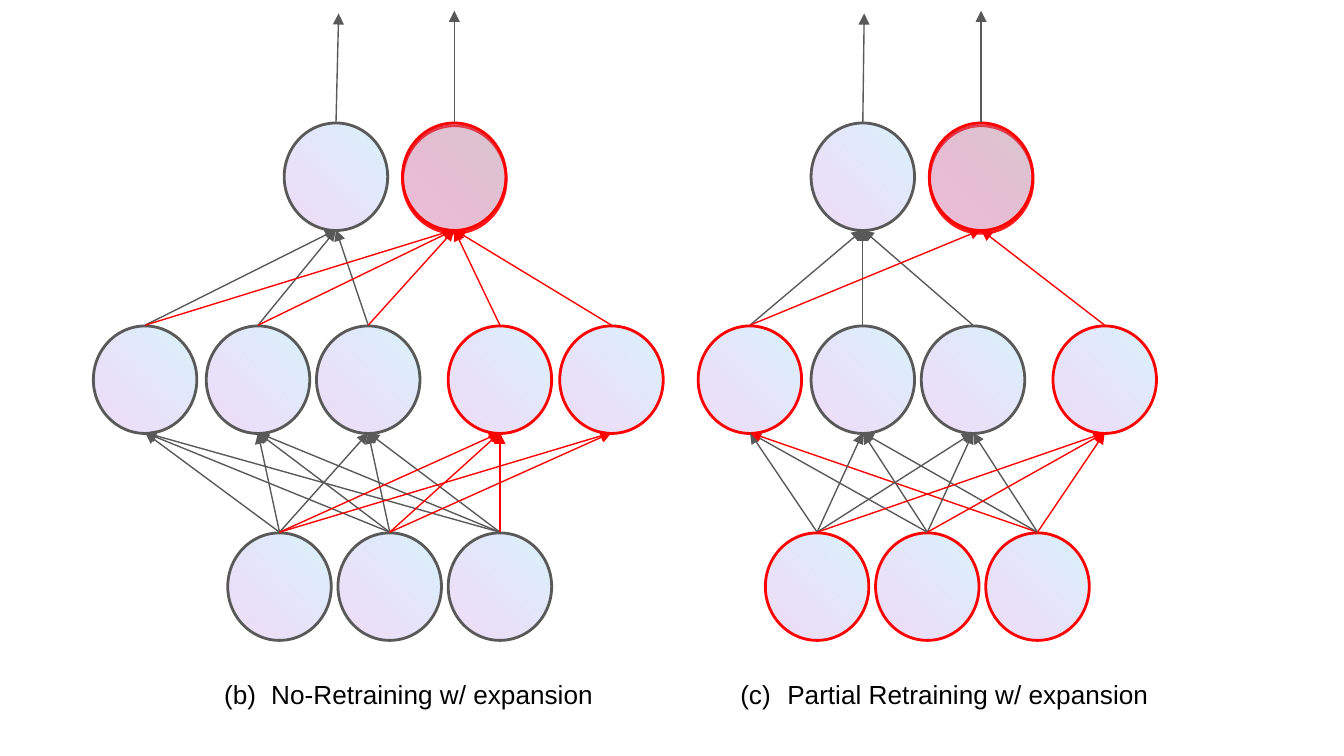
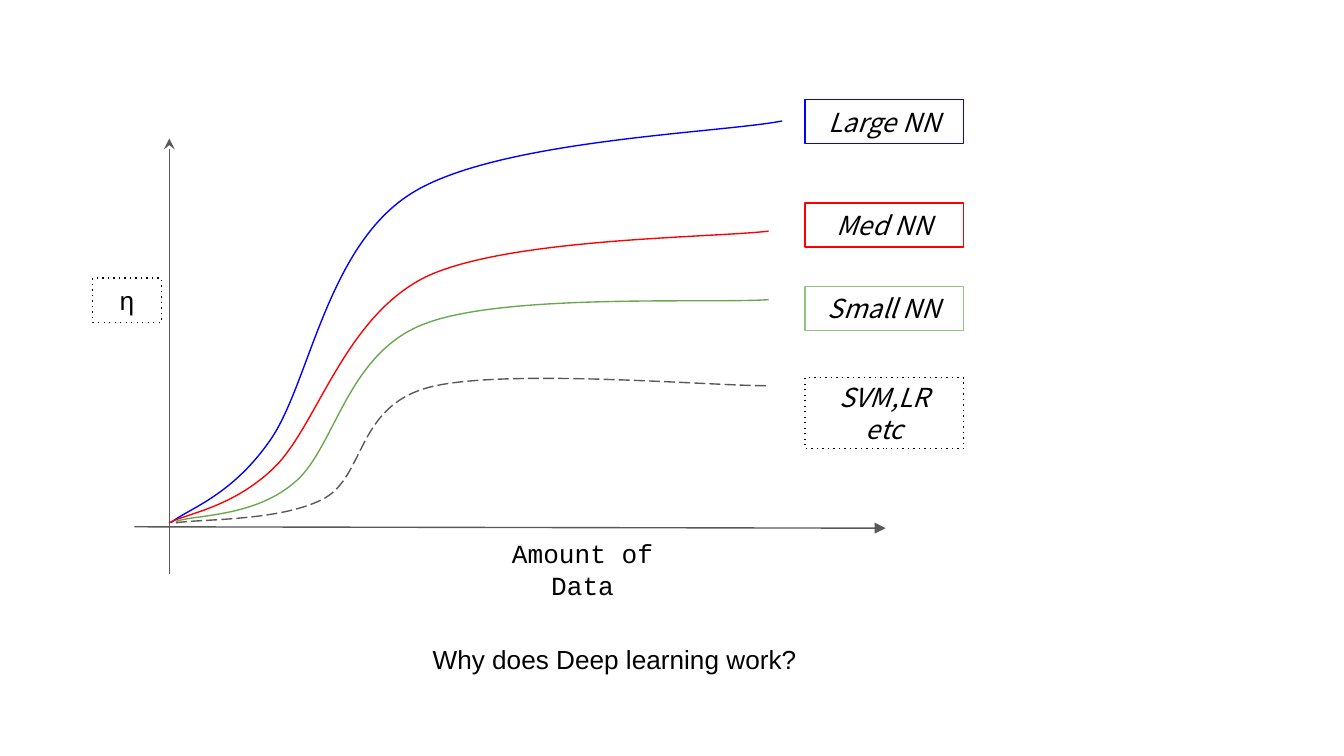
"""Build two slides: growing neural networks, and accuracy against data size."""
from lxml.etree import SubElement
from pptx import Presentation
from pptx.dml.color import RGBColor
from pptx.enum.shapes import MSO_CONNECTOR, MSO_SHAPE
from pptx.enum.text import MSO_ANCHOR, PP_ALIGN
from pptx.oxml.ns import qn
from pptx.util import Inches, Pt

STRAIGHT = MSO_CONNECTOR.STRAIGHT
OVAL, RECT = MSO_SHAPE.OVAL, MSO_SHAPE.RECTANGLE
TOP, MIDDLE = MSO_ANCHOR.TOP, MSO_ANCHOR.MIDDLE
LEFT, CENTER = PP_ALIGN.LEFT, PP_ALIGN.CENTER

GRAY, RED, BLUE, BLACK = "595959", "FF0000", "0000FF", "000000"
GREEN, LIME = "6AA84F", "93C47D"
SANS, MONO, CJK = "Arial", "Courier New", "Noto Sans CJK KR"
TINTS = [("69D4F4", 26), ("9F39D5", 17)]
INKS = {"g": GRAY, "r": RED}

WIDE, HIGH, GAP = 0.8, 0.77, 0.02
OUT, HIDDEN, INPUT = 0.93, 2.44, 3.98

# Each unit holds its centre, its ink and the ink of the link from each unit below.
NET_B = {
    "inputs": [(2.08, "g", ""), (2.9, "g", ""), (3.72, "g", "")],
    "hidden": [(1.08, "g", "ggg"), (1.92, "g", "ggg"), (2.74, "g", "ggg"),
               (3.72, "r", "rrr"), (4.55, "r", "rr-")],
    "outs": [(2.5, "g", "ggg--"), (3.38, "r", "rrrrr")],
    "tips": [(2.52, 0.1), (3.38, 0.08)],
}
NET_C = {
    "inputs": [(6.08, "r", ""), (6.9, "r", ""), (7.72, "r", "")],
    "hidden": [(5.58, "r", "ggr"), (6.42, "g", "ggg"), (7.24, "g", "ggg"),
               (8.22, "r", "rrr")],
    "outs": [(6.42, "g", "ggg-"), (7.3, "r", "r--r")],
    "tips": [(6.43, 0.1), (7.3, 0.08)],
}
CURVES = [
    (BLUE, None, [(1.27, 3.89), (1.39, 3.79), (1.71, 3.7), (2, 3.29), (2.3, 2.88),
                  (2.42, 1.84), (3.06, 1.44), (3.69, 1.04), (5.36, 0.99), (5.82, 0.9)]),
    (RED, None, [(1.26, 3.89), (1.39, 3.82), (1.73, 3.78), (2.04, 3.48), (2.36, 3.17),
                 (2.56, 2.36), (3.17, 2.06), (3.78, 1.77), (5.3, 1.77), (5.72, 1.72)]),
    (GREEN, None, [(1.31, 3.88), (1.45, 3.83), (1.88, 3.85), (2.18, 3.6), (2.49, 3.36),
                   (2.57, 2.63), (3.16, 2.41), (3.75, 2.18), (5.3, 2.26), (5.72, 2.23)]),
    (GRAY, "lgDash", [(1.31, 3.89), (1.5, 3.86), (2.09, 3.88), (2.41, 3.71), (2.72, 3.54),
                      (2.65, 3.02), (3.2, 2.88), (3.75, 2.74), (5.28, 2.87), (5.7, 2.87)]),
]
KEYS = [
    ("Large NN", 0.74, 0.33, BLUE, None),
    ("Med NN", 1.51, 0.33, RED, None),
    ("Small NN", 2.13, 0.33, LIME, None),
    ("SVM,LR etc", 2.81, 0.53, BLACK, "dot"),
]


def color(code):
    """Turn a hex string into a colour."""
    return RGBColor.from_string(code)


def add(parent, tag, **attrs):
    """Append an XML child with the given attributes."""
    return SubElement(parent, qn(tag), {k: str(v) for k, v in attrs.items()})


def ink(shape, code, width=0.75, dash=None, tail=None):
    """Set the outline of a shape or connector."""
    shape.line.color.rgb = color(code)
    shape.line.width = Pt(width)
    ln = shape._element.spPr.find(qn("a:ln"))
    if dash:
        add(ln, "a:prstDash", val=dash)
    if tail:
        add(ln, "a:tailEnd", type=tail)


def arrow(slide, start, end, code=GRAY, tail="triangle"):
    """Draw a straight arrow between two points."""
    line = slide.shapes.add_connector(STRAIGHT, *map(Inches, (*start, *end)))
    ink(line, code, tail=tail)
    add(line._element.spPr, "a:effectLst")


def unit(slide, mid, top, code, glow=False):
    """Draw one round unit of a network."""
    oval = slide.shapes.add_shape(
        OVAL, Inches(mid - WIDE / 2), Inches(top), Inches(WIDE), Inches(HIGH))
    oval.rotation = 270
    oval.fill.gradient()
    oval.fill.gradient_angle = 135
    for stop, (tint, _) in zip(oval.fill.gradient_stops, TINTS):
        stop.color.rgb = color(tint)
    clrs = list(oval._element.spPr.iter(qn("a:srgbClr")))
    for clr, (_, alpha) in zip(clrs, TINTS):
        add(clr, "a:alpha", val=alpha * 1000)
    ink(oval, code, 1.5)
    oval.shadow.inherit = False
    if glow:
        effects = oval._element.spPr.find(qn("a:effectLst"))
        cast = add(effects, "a:outerShdw", blurRad=0, dist=Pt(1.5), dir=85 * 60000,
                   algn="bl", rotWithShape=0)
        add(add(cast, "a:srgbClr", val=RED), "a:alpha", val=89000)


def links(slide, units, top, below, base):
    """Draw the arrows that lead up into a layer."""
    foot = top + HIGH + GAP / 2
    for mid, _, inks in units:
        for (x, _, _), key in zip(below, inks):
            if key in INKS:
                arrow(slide, (x, base - GAP), (mid, foot), INKS[key])


def net(slide, inputs, hidden, outs, tips):
    """Draw a network of three layers."""
    for units, top in ((inputs, INPUT), (hidden, HIDDEN), (outs, OUT)):
        for mid, key, _ in units:
            unit(slide, mid, top, INKS[key], glow=top == OUT and key == "r")
    links(slide, hidden, HIDDEN, inputs, INPUT)
    links(slide, outs, OUT, hidden, HIDDEN)
    for (mid, _, _), tip in zip(outs, tips):
        arrow(slide, (mid, OUT - GAP), tip)


def write(shape, text, font, align=CENTER, anchor=MIDDLE, italic=None):
    """Fill a shape with one paragraph and return it."""
    frame = shape.text_frame
    frame.word_wrap = True
    frame.vertical_anchor = anchor
    frame.margin_left = frame.margin_right = Inches(0.1)
    frame.margin_top = frame.margin_bottom = Inches(0.1)
    para = frame.paragraphs[0]
    para.text = text
    para.alignment = align
    para.font.name = font
    para.font.size = Pt(14)
    para.font.italic = italic
    para.font.color.rgb = color(BLACK)
    return para


def note(slide, text, box, font=SANS, align=LEFT, anchor=TOP):
    """Add a plain text box and return its paragraph."""
    shape = slide.shapes.add_textbox(*map(Inches, box))
    return write(shape, text, font, align, anchor)


def item(slide, text, box, start):
    """Add a caption with a letter in brackets."""
    props = note(slide, text, box)._p.get_or_add_pPr()
    props.set("marL", str(Inches(0.5)))
    props.set("indent", str(Inches(-0.35)))
    for node in list(props):
        props.remove(node)
        rest = node
    add(add(props, "a:buClr"), "a:srgbClr", val=BLACK)
    add(props, "a:buSzPts", val=1400)
    add(props, "a:buFont", typeface=SANS)
    add(props, "a:buAutoNum", type="alphaLcParenBoth", startAt=start)
    props.append(rest)


def label(slide, text, box, code, dash, font, italic=None):
    """Add a framed label."""
    shape = slide.shapes.add_shape(RECT, *map(Inches, box))
    shape.shadow.inherit = False
    shape.fill.background()
    ink(shape, code, dash=dash)
    write(shape, text, font, italic=italic)


def curve(slide, code, dash, points):
    """Draw a smooth curve through cubic control points."""
    spots = [(Inches(x), Inches(y)) for x, y in points]
    build = slide.shapes.build_freeform(*spots[0])
    build.add_line_segments(spots[1:], close=False)
    shape = build.convert_to_shape()
    shape.shadow.inherit = False
    shape.fill.background()
    ink(shape, code, dash=dash)
    steps = list(shape._element.iter(qn("a:lnTo")))
    for i in range(0, len(steps), 3):
        bend = add(steps[i].getparent(), "a:cubicBezTo")
        for step in steps[i:i + 3]:
            bend.append(step[0])
            step.getparent().remove(step)


def main():
    """Build and save the slides."""
    deck = Presentation()
    deck.slide_width = Inches(10)
    deck.slide_height = deck.slide_width * 9 // 16
    blank = deck.slide_layouts[6]

    slide = deck.slides.add_slide(blank)
    net(slide, **NET_B)
    net(slide, **NET_C)
    item(slide, "No-Retraining w/ expansion", (1.42, 4.95, 3.17, 0.44), 2)
    item(slide, "Partial Retraining w/ expansion", (5.26, 4.95, 3.43, 0.44), 3)

    slide = deck.slides.add_slide(blank)
    arrow(slide, (1.26, 4.27), (1.26, 1.03), tail="stealth")
    arrow(slide, (1, 3.92), (6.59, 3.93))
    for code, dash, points in CURVES:
        curve(slide, code, dash, points)
    for text, top, high, code, dash in KEYS:
        label(slide, text, (5.99, top, 1.18, high), code, dash, CJK, italic=True)
    label(slide, "η", (0.69, 2.07, 0.51, 0.33), BLACK, "dot", MONO)
    note(slide, "Amount of Data", (3.49, 4.04, 1.69, 0.39), MONO, CENTER, MIDDLE)
    note(slide, "Why does Deep learning work?", (3.12, 4.69, 3.32, 0.56))
    deck.save("out.pptx")


if __name__ == "__main__":
    main()
